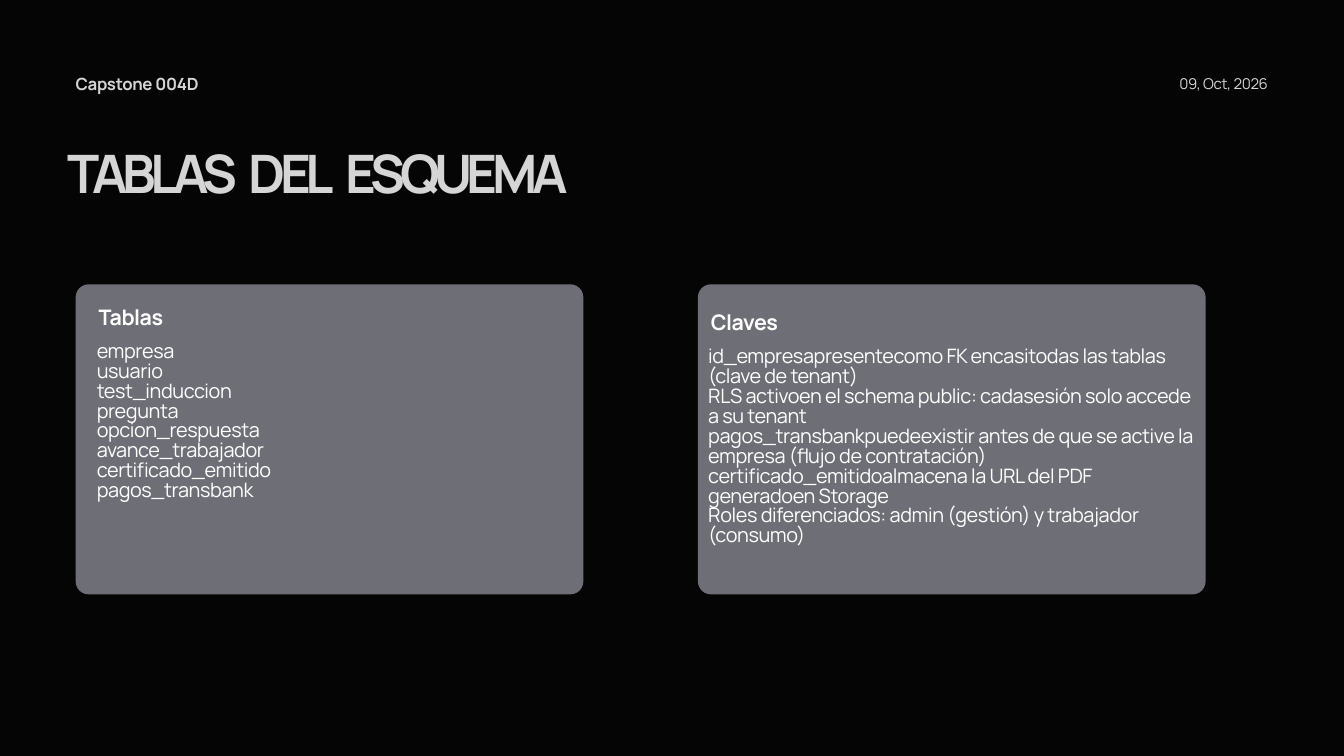
from pptx import Presentation
from pptx.dml.color import RGBColor
from pptx.enum.shapes import MSO_SHAPE
from pptx.enum.text import MSO_ANCHOR, PP_ALIGN
from pptx.util import Cm, Pt

COLORS = {"background": "050505", "heading": "D5D5D5", "card": "6E6E77", "body": "FFFFFF"}
FONT = "Manrope"

COURSE = "Capstone 004D"
DATE = "09, Oct, 2026"
TITLE = "TABLAS DEL ESQUEMA"

# Offsets are the left and top of a text inside its card, in cm.
CARDS = [
    {
        "left": 2.86,
        "heading": "Tablas",
        "heading_offset": (0.87, 0.91),
        "lines": [
            "empresa",
            "usuario",
            "test_induccion",
            "pregunta",
            "opcion_respuesta",
            "avance_trabajador",
            "certificado_emitido",
            "pagos_transbank",
        ],
        "lines_offset": (0.8, 2.2),
    },
    {
        "left": 26.38,
        "heading": "Claves",
        "heading_offset": (0.49, 1.11),
        "lines": [
            "id_empresapresentecomo FK encasitodas las tablas (clave de tenant)",
            "RLS activoen el schema public: cadasesión solo accede a su tenant",
            "pagos_transbankpuedeexistir antes de que se active la empresa (flujo de contratación)",
            "certificado_emitidoalmacena la URL del PDF generadoen Storage",
            "Roles diferenciados: admin (gestión) y trabajador (consumo)",
        ],
        "lines_offset": (0.39, 2.41),
    },
]
CARD_TOP, CARD_WIDTH, CARD_HEIGHT, CARD_RADIUS = 10.75, 19.19, 11.72, 0.49


def color(name):
    return RGBColor.from_string(COLORS[name])


def set_tracking(run, points):
    """Set the letter spacing of a run."""
    run._r.get_or_add_rPr().set("spc", str(round(points * 100)))


def add_text(slide, box, lines, size, line_height, tracking, color_name,
             bold=False, align=PP_ALIGN.LEFT):
    shape = slide.shapes.add_textbox(*(Cm(value) for value in box))
    frame = shape.text_frame
    frame.word_wrap = True
    frame.vertical_anchor = MSO_ANCHOR.TOP
    frame.margin_left = frame.margin_right = frame.margin_top = frame.margin_bottom = 0
    frame.text = "\n".join(lines)
    for paragraph in frame.paragraphs:
        paragraph.alignment = align
        paragraph.line_spacing = Pt(line_height)
        for run in paragraph.runs:
            style_run(run, size, tracking, color_name, bold)
    return shape


def style_run(run, size, tracking, color_name, bold):
    run.font.name = FONT
    run.font.size = Pt(size)
    run.font.bold = bold
    run.font.color.rgb = color(color_name)
    set_tracking(run, tracking)


def add_title(slide):
    """Add the tightly tracked title, with its word spaces left looser."""
    words = TITLE.split()
    shape = add_text(slide, (2.54, 6.1, 20.73, 1.98), words[:1],
                     56.8, 45.4, -5.9, "heading", bold=True)
    paragraph = shape.text_frame.paragraphs[0]
    for word in words[1:]:
        for text, tracking in ((" ", 1), (word, -5.9)):
            run = paragraph.add_run()
            run.text = text
            style_run(run, 56.8, tracking, "heading", True)


def add_card(slide, card):
    left = card["left"]
    panel = slide.shapes.add_shape(MSO_SHAPE.ROUNDED_RECTANGLE, Cm(left), Cm(CARD_TOP),
                                   Cm(CARD_WIDTH), Cm(CARD_HEIGHT))
    panel.adjustments[0] = CARD_RADIUS / CARD_HEIGHT
    panel.fill.solid()
    panel.fill.fore_color.rgb = color("card")
    panel.line.fill.background()
    panel.shadow.inherit = False

    x, y = card["lines_offset"]
    add_text(slide, (left + x, CARD_TOP + y, 18.39, 7.8), card["lines"],
             21.3, 21.3, -0.4, "body")
    x, y = card["heading_offset"]
    add_text(slide, (left + x, CARD_TOP + y, 16.38, 0.84), [card["heading"]],
             22.9, 22.9, -0.5, "body", bold=True)


def main():
    presentation = Presentation()
    presentation.slide_width = Cm(50.8)
    presentation.slide_height = Cm(28.58)
    slide = presentation.slides.add_slide(presentation.slide_layouts[6])
    slide.background.fill.solid()
    slide.background.fill.fore_color.rgb = color("background")

    add_text(slide, (2.86, 2.92, 11.96, 0.69), [COURSE], 18, 18, -0.3, "heading", bold=True)
    add_title(slide)
    add_text(slide, (35.97, 2.92, 11.96, 0.61), [DATE], 16, 16, -0.3, "heading",
             align=PP_ALIGN.RIGHT)
    for card in CARDS:
        add_card(slide, card)
    presentation.save("out.pptx")


if __name__ == "__main__":
    main()
